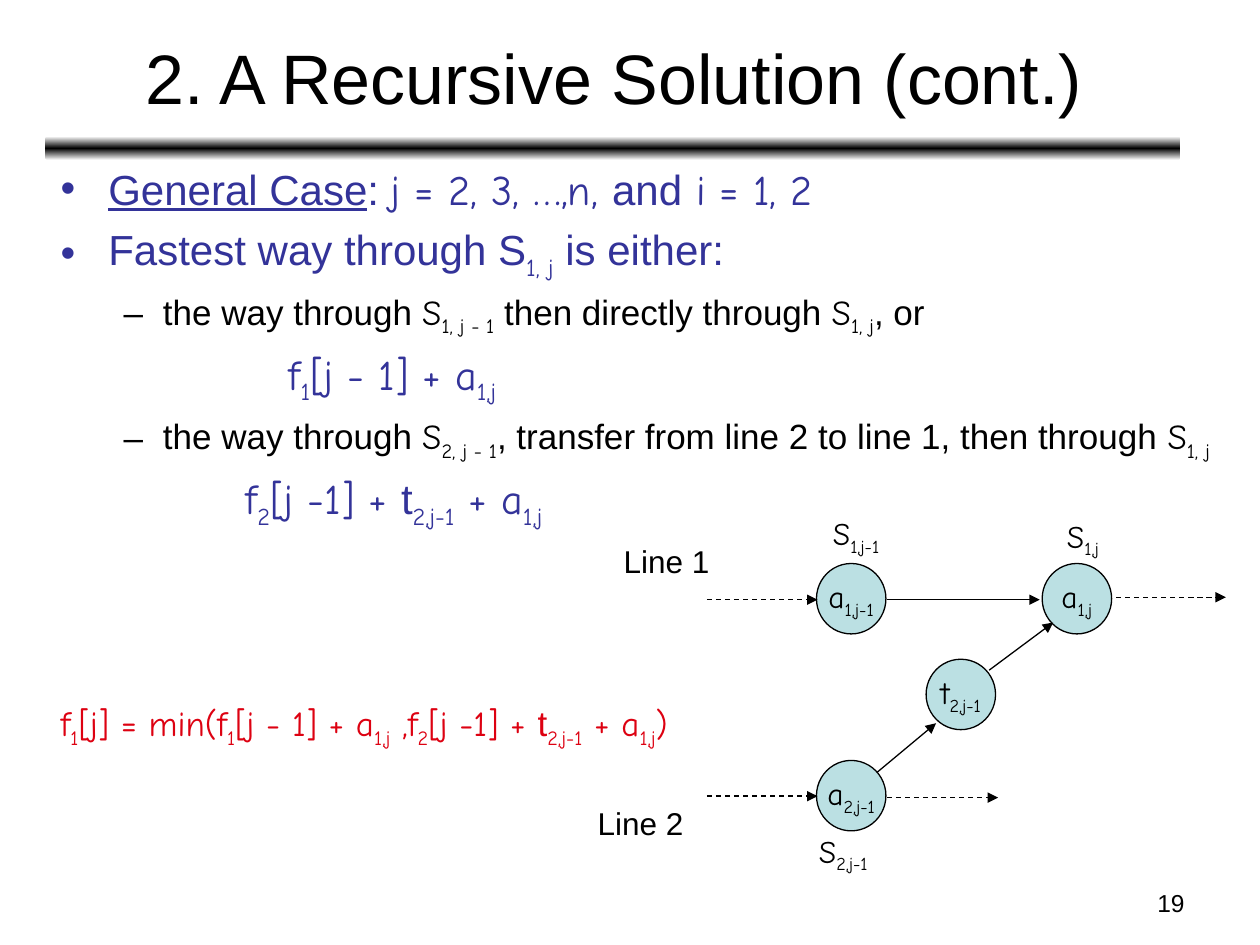
from copy import deepcopy

from lxml.etree import SubElement
from pptx import Presentation
from pptx.dml.color import RGBColor
from pptx.enum.dml import MSO_LINE
from pptx.enum.shapes import MSO_CONNECTOR, MSO_SHAPE
from pptx.enum.text import MSO_ANCHOR, MSO_AUTO_SIZE, PP_ALIGN
from pptx.oxml.ns import qn
from pptx.util import Cm, Pt

BLACK, BLUE, RED, AQUA = "000000", "333399", "DD0111", "BBE0E3"
TEXT_FONT, MATH_FONT = "Arial", "Comic Neue"


def rgb(color):
    return RGBColor.from_string(color)


def place(sp, box):
    sp.left, sp.top, sp.width, sp.height = (Cm(v) for v in box)


def write(p, markup, size, color):
    for i, part in enumerate(markup.split("`")):
        for j, text in enumerate(part.split("_")):
            if not text:
                continue
            r = p.add_run()
            r.text = text
            r.font.name = MATH_FONT if i % 2 else TEXT_FONT
            r.font.size = Pt(size)
            r.font.color.rgb = rgb(color)
            if j % 2:
                r.font._element.set("baseline", "-25000")


def add_label(s, box, markup, size=18, align=PP_ALIGN.LEFT):
    tf = s.shapes.add_textbox(*(Cm(v) for v in box)).text_frame
    tf.word_wrap = True
    tf.paragraphs[0].alignment = align
    write(tf.paragraphs[0], markup, size, BLACK)


def add_title(s, box):
    sp = s.shapes.title
    place(sp, box)
    tf = sp.text_frame
    tf.auto_size = MSO_AUTO_SIZE.NONE
    tf.vertical_anchor = MSO_ANCHOR.MIDDLE
    tf.paragraphs[0].alignment = PP_ALIGN.CENTER
    write(tf.paragraphs[0], "2. A Recursive Solution (cont.)", 40, BLACK)


def add_rule(s, box):
    sp = s.shapes.add_shape(MSO_SHAPE.ROUNDED_RECTANGLE, *(Cm(v) for v in box))
    sp.shadow.inherit = False
    sp.line.fill.background()
    sp.fill.gradient()
    sp.fill.gradient_angle = 90
    first = sp.fill.gradient_stops[0]._gs
    first.addnext(deepcopy(first))
    for stop, pos, color in zip(sp.fill.gradient_stops, (0, 0.5, 1), ("FFFFFF", BLACK, "FFFFFF")):
        stop.position = pos
        stop.color.rgb = rgb(color)


def add_body(s, box):
    sp = s.placeholders[1]
    place(sp, box)
    tf = sp.text_frame
    tf.auto_size = MSO_AUTO_SIZE.NONE
    top, sub = (0, 0.96, -0.96), (1, 2.06, -0.79)
    items = [
        ("General Case: `j = 2, 3, …,n, `and` i = 1, 2`", 24, BLUE, 6, top, True),
        ("Fastest way through S`_1, j_` is either:", 24, BLUE, 6, top, True),
        ("the way through `S_1, j - 1_` then directly through `S_1, j_`, or", 20, BLACK, 5, sub, True),
        ("`f_1_[j - 1] + a_1,j_`", 24, BLUE, 6, (1, 4.6, 0), False),
        ("the way through `S_2, j - 1_`, transfer from line 2 to line 1, then through `S_1, j_`",
         20, BLACK, 5, sub, True),
        ("`f_2_[j -1] + `t`_2,j-1_ + a_1,j_`", 24, BLUE, 6, (0, 3.73, 0), False),
        ("`f_1_[j] = min(f_1_[j - 1] + a_1,j_ ,f_2_[j -1] + `t`_2,j-1_ + a_1,j_)`",
         20, RED, 98, (0, 0, 0), False),
    ]
    for i, (markup, size, color, before, (level, margin, indent), bullet) in enumerate(items):
        p = tf.add_paragraph() if i else tf.paragraphs[0]
        p.level = level
        p.space_before = Pt(before)
        pPr = p._p.get_or_add_pPr()
        pPr.set("marL", str(Cm(margin)))
        pPr.set("indent", str(Cm(indent)))
        if not bullet:
            SubElement(pPr, qn("a:buNone"))
        if i == 0:
            heading, markup = markup.split(":", 1)
            write(p, heading, size, color)
            p.runs[0].font.underline = True
            markup = ":" + markup
        write(p, markup, size, color)


def add_station(s, x, y, markup):
    sp = s.shapes.add_shape(MSO_SHAPE.OVAL, Cm(x), Cm(y), Cm(1.4), Cm(1.42))
    sp.shadow.inherit = False
    sp.fill.solid()
    sp.fill.fore_color.rgb = rgb(AQUA)
    sp.line.color.rgb = rgb(BLACK)
    sp.line.width = Pt(0.75)
    tf = sp.text_frame
    tf.word_wrap = False
    tf.vertical_anchor = MSO_ANCHOR.MIDDLE
    tf.paragraphs[0].alignment = PP_ALIGN.CENTER
    write(tf.paragraphs[0], markup, 18, BLACK)


def add_arrow(s, x1, y1, x2, y2, dashed):
    cxn = s.shapes.add_connector(MSO_CONNECTOR.STRAIGHT, Cm(x1), Cm(y1), Cm(x2), Cm(y2))
    cxn.line.color.rgb = rgb(BLACK)
    cxn.line.width = Pt(0.75)
    if dashed:
        cxn.line.dash_style = MSO_LINE.DASH
    SubElement(cxn.line._get_or_add_ln(), qn("a:tailEnd"), type="triangle")
    SubElement(cxn._element.spPr, qn("a:effectLst"))


def add_diagram(s, left, top):
    for x, y, markup in [
        (9.21, 1.16, "`a_1,j_`"),
        (4.66, 1.16, "`a_1,j-1_`"),
        (4.66, 5.13, "`a_2,j-1_`"),
        (6.87, 3.09, "`t_2,j-1_`"),
    ]:
        add_station(s, left + x, top + y, markup)
    for x, y, w, h, markup in [
        (9.46, 0.09, 1.6, 1.12, "`S_1,j_`"),
        (4.74, 0.04, 1.8, 1.12, "`S_1,j-1_`"),
        (4.46, 6.44, 1.8, 1.12, "`S_2,j-1_`"),
        (0.52, 0.6, 2.5, 1.02, "Line 1"),
        (0, 5.88, 2.5, 1.02, "Line 2"),
    ]:
        add_label(s, (left + x, top + y, w, h), markup)
    for x1, y1, x2, y2, dashed in [
        (2.45, 1.89, 4.68, 1.89, True),
        (2.45, 5.85, 4.68, 5.85, True),
        (6.08, 1.89, 9.16, 1.89, False),
        (5.88, 5.37, 7.07, 4.38, False),
        (8.14, 3.31, 9.43, 2.35, False),
        (10.7, 1.84, 12.91, 1.84, True),
        (6.08, 5.88, 8.32, 5.88, True),
    ]:
        add_arrow(s, left + x1, top + y1, left + x2, top + y2, dashed)


def main():
    prs = Presentation()
    prs.slide_width, prs.slide_height = Cm(25.4), Cm(19.05)
    s = prs.slides.add_slide(prs.slide_layouts[1])
    add_rule(s, (0.91, 2.75, 22.89, 0.48))
    add_title(s, (0.94, 0.28, 22.86, 2.51))
    add_body(s, (0.97, 3.16, 24.43, 14.83))
    add_diagram(s, 11.8, 10.2)
    add_label(s, (18.21, 17.78, 5.92, 0.89), "19", 14, PP_ALIGN.RIGHT)
    prs.save("out.pptx")


if __name__ == "__main__":
    main()
